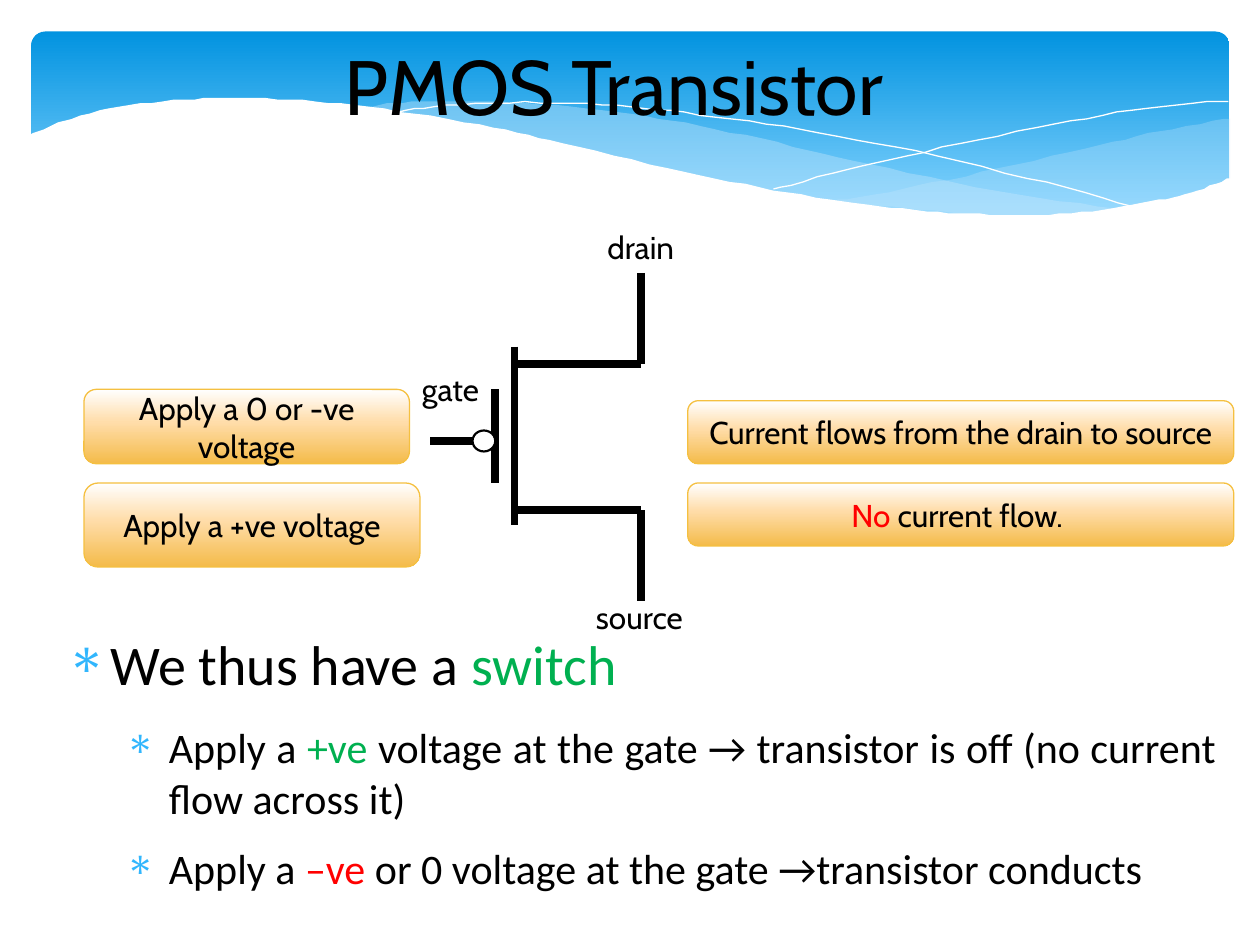
from copy import deepcopy

from lxml.etree import SubElement
from pptx import Presentation
from pptx.dml.color import RGBColor
from pptx.enum.shapes import MSO_CONNECTOR, MSO_SHAPE
from pptx.enum.text import MSO_ANCHOR, MSO_AUTO_SIZE, PP_ALIGN
from pptx.oxml.ns import qn
from pptx.util import Pt

BLACK, WHITE, RED, GREEN = "000000", "FFFFFF", "FF0000", "00B050"
SKY, BULLET, GOLD = "C6E7FC", "31B6FD", "F5C040"
BANNER_STOPS = [(0, "0293E0"), (90, "83D3FE")]
GOLD_STOPS = [(0, WHITE), (44, "FFDDAA"), (100, "F4BB4A")]

TITLE = "PMOS Transistor"
BOXES = [  # left, top, width, height, runs
    (48, 222.5, 186, 42.5, [("Apply a 0 or -ve voltage", BLACK)]),
    (393, 229, 312, 36, [("Current flows from the drain to source", BLACK)]),
    (48, 276, 192, 48, [("Apply a +ve voltage", BLACK)]),
    (393, 276, 312, 36, [("No", RED), (" current flow. ", BLACK)]),
]
LABELS = [("drain", 340, 127, 54), ("source", 333.5, 338, 66), ("gate", 234, 208, 49)]
BODY = [  # level, runs
    (0, [("We thus have a ", BLACK), ("switch", GREEN)]),
    (1, [("Apply a ", BLACK), ("+ve ", GREEN),
         ("voltage at the gate → transistor is off (no current flow across it)", BLACK)]),
    (1, [("Apply a ", BLACK), ("–ve ", RED),
         ("or 0 voltage at the gate →transistor conducts", BLACK)]),
]
LEVELS = [(32, 34, 14.1), (24, 67.5, 11.3)]  # size, indent, space after

GATE_X, CHANNEL_X, TERMINAL_X = 283, 294, 366.5
DRAIN_Y, SOURCE_Y = 208, 291.5
WIRES = [
    (246, 252, GATE_X, 252),
    (GATE_X, 222.5, GATE_X, 276),
    (CHANNEL_X, 198, CHANNEL_X, 300),
    (CHANNEL_X, DRAIN_Y, TERMINAL_X, DRAIN_Y),
    (TERMINAL_X, 156, TERMINAL_X, DRAIN_Y),
    (CHANNEL_X, SOURCE_Y, TERMINAL_X, SOURCE_Y),
    (TERMINAL_X, SOURCE_Y, TERMINAL_X, 343.5),
]

RIGHT_WAVE = [
    [(703, 67.5), (663, 75), (620, 85), (561, 98.5), (508, 109.5), (476, 115)],
    [(476, 115), (517.5, 119), (562, 123), (601, 123), (640, 120.5), (673, 114), (703, 101.5)],
]
MIDDLE_WAVE = [
    [(643, 120), (581, 111), (508, 96.5), (453, 83.5), (400, 72), (352, 64), (302, 59),
     (260, 57.5), (225, 59), (206, 62)],
    [(206, 62), (246, 67.5), (307, 79.5), (354, 90.5), (420, 105), (468, 114), (520, 121),
     (565, 124), (603, 124.5), (643, 120)],
]
FALLING_LINE = [[(222.5, 65), (248, 61), (300, 58.5), (352, 60.5), (400, 65.5), (458, 74),
                 (523, 86.5), (598, 104.5), (653, 119.5)]]
RISING_LINE = [[(441.5, 108.5), (484, 97), (538.5, 84.5), (602, 71), (655, 62), (702, 57.5)]]
WHITE_WAVE = [
    [(17, 77), (37, 69), (68, 61), (105, 57), (139, 56), (180, 58), (228, 63.5), (282, 73),
     (322, 82), (381, 96), (434, 107), (481, 115), (523, 120), (560, 122.5), (593, 123),
     (630, 120), (662, 114.5), (684, 109), (703, 101.5)],
    [(703, 161), (17, 161)],
]


def rgb(value):
    return RGBColor.from_string(value)


def style(sp, fill=None, line=None, width=0.0, alpha=None):
    """Set a flat or gradient fill and an outline; None means no fill or line."""
    sp.shadow.inherit = False
    if isinstance(fill, list):
        sp.fill.gradient()
        sp.fill.gradient_angle = 270
        stops = sp._element.spPr.find(qn("a:gradFill")).find(qn("a:gsLst"))
        for stop in list(stops):
            stops.remove(stop)
        for pos, color in fill:
            stop = SubElement(stops, qn("a:gs"), pos=str(pos * 1000))
            SubElement(stop, qn("a:srgbClr"), val=color)
    elif fill:
        sp.fill.solid()
        sp.fill.fore_color.rgb = rgb(fill)
        if alpha:
            color = sp._element.spPr.find(qn("a:solidFill"))[0]
            SubElement(color, qn("a:alpha"), val=str(alpha * 1000))
    else:
        sp.fill.background()
    if line:
        sp.line.color.rgb = rgb(line)
        sp.line.width = Pt(width)
    else:
        sp.line.fill.background()


def add_runs(p, runs, size, font="Cabin"):
    for text, color in runs:
        r = p.add_run()
        r.text = text
        r.font.size, r.font.name = Pt(size), font
        r.font.color.rgb = rgb(color)


def smooth(points, steps=6):
    """Return points along a Catmull-Rom curve through the given ones."""
    if len(points) < 3:
        return points
    ends = [points[0], *points, points[-1]]
    curve = []
    for a, b, c, d in zip(ends, ends[1:], ends[2:], ends[3:]):
        for t in (i / steps for i in range(steps)):
            curve.append(tuple(
                0.5 * (2 * q + (r - p) * t + (2 * p - 5 * q + 4 * r - s) * t ** 2
                       + (3 * q - p - 3 * r + s) * t ** 3)
                for p, q, r, s in zip(a, b, c, d)))
    return curve + [points[-1]]


def add_wave(shapes, edges, closed=True, **look):
    points = [point for edge in edges for point in smooth(edge)]
    builder = shapes.build_freeform(*points[0], scale=Pt(1))
    builder.add_line_segments(points[1:], close=closed)
    style(builder.convert_to_shape(), **look)


def add_box(shapes, kind, left, top, width, height):
    return shapes.add_shape(kind, Pt(left), Pt(top), Pt(width), Pt(height))


def add_text(shapes, left, top, width, height):
    return shapes.add_textbox(Pt(left), Pt(top), Pt(width), Pt(height)).text_frame


def add_bullet(p, indent):
    pPr = p._p.get_or_add_pPr()
    pPr.set("marL", str(Pt(indent)))
    pPr.set("indent", str(-Pt(25)))
    SubElement(SubElement(pPr, qn("a:buClr")), qn("a:srgbClr"), val=BULLET)
    SubElement(pPr, qn("a:buChar"), char="∗")


def main():
    prs = Presentation()
    prs.slide_width, prs.slide_height = Pt(720), Pt(540)
    s = prs.slides.add_slide(prs.slide_layouts[5])
    shapes = s.shapes
    title = shapes.title

    banner = add_box(shapes, MSO_SHAPE.ROUNDED_RECTANGLE, 18, 18, 684.5, 112.5)
    banner.adjustments[0] = 0.07
    style(banner, BANNER_STOPS)
    add_wave(shapes, RIGHT_WAVE, fill=SKY, alpha=29)
    add_wave(shapes, MIDDLE_WAVE, fill=SKY, alpha=40)
    for edges in (FALLING_LINE, RISING_LINE):
        add_wave(shapes, edges, closed=False, line=WHITE)
    add_wave(shapes, WHITE_WAVE, fill=WHITE)

    shapes._spTree.append(title._element)  # bring the title in front of the banner
    title.left, title.top, title.width, title.height = Pt(12), Pt(18), Pt(678), Pt(60.5)
    tf = title.text_frame
    tf.auto_size, tf.vertical_anchor = MSO_AUTO_SIZE.NONE, MSO_ANCHOR.MIDDLE
    tf.paragraphs[0].alignment = PP_ALIGN.CENTER
    add_runs(tf.paragraphs[0], [(TITLE, BLACK)], 44)

    for *place, runs in BOXES:
        sp = add_box(shapes, MSO_SHAPE.ROUNDED_RECTANGLE, *place)
        style(sp, GOLD_STOPS, GOLD, 0.75)
        tf = sp.text_frame
        tf.word_wrap, tf.vertical_anchor = True, MSO_ANCHOR.MIDDLE
        tf.paragraphs[0].alignment = PP_ALIGN.CENTER
        add_runs(tf.paragraphs[0], runs, 18)

    for text, left, top, width in LABELS:
        tf = add_text(shapes, left, top, width, 29)
        tf.word_wrap = False
        add_runs(tf.paragraphs[0], [(text, BLACK)], 18)

    tf = add_text(shapes, 29, 360, 666, 164)
    tf.word_wrap = True
    tf.margin_left = tf.margin_top = tf.margin_right = tf.margin_bottom = 0
    for i, (level, runs) in enumerate(BODY):
        size, indent, after = LEVELS[level]
        p = tf.add_paragraph() if i else tf.paragraphs[0]
        p.level, p.alignment, p.space_after = level, PP_ALIGN.JUSTIFY, Pt(after)
        add_bullet(p, indent)
        add_runs(p, runs, size, "Calibri")

    for wire in WIRES:
        line = shapes.add_connector(MSO_CONNECTOR.STRAIGHT, *map(Pt, wire))
        line.line.color.rgb = rgb(BLACK)
        line.line.width = Pt(4.5)
        SubElement(line._element.spPr, qn("a:effectLst"))
    style(add_box(shapes, MSO_SHAPE.OVAL, 270, 246, 13, 12), WHITE, BLACK, 1.25)

    prs.save("out.pptx")


if __name__ == "__main__":
    main()
